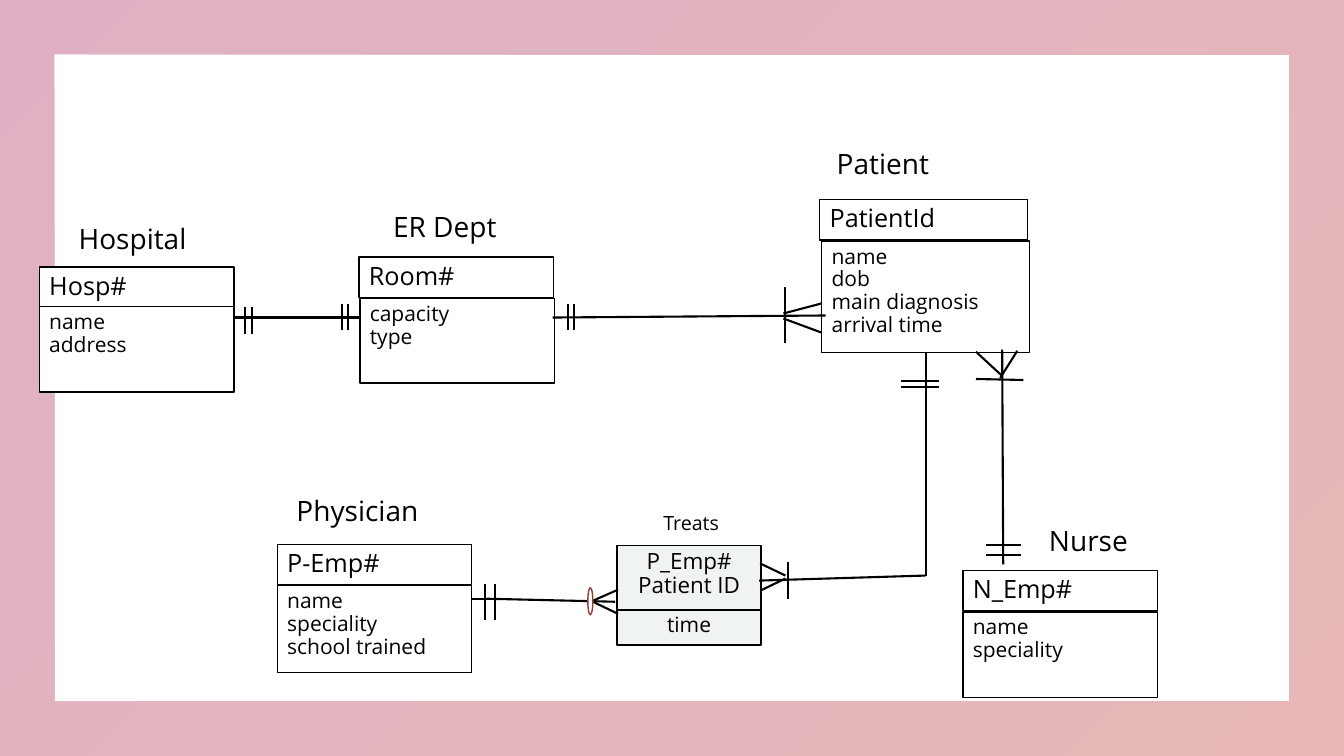
from lxml.etree import SubElement
from pptx import Presentation
from pptx.dml.color import RGBColor
from pptx.enum.shapes import MSO_CONNECTOR, MSO_SHAPE
from pptx.enum.text import MSO_ANCHOR, PP_ALIGN
from pptx.oxml.ns import qn
from pptx.util import Inches, Pt


def color(value):
    return RGBColor.from_string(value)


def write(shape, lines, size, align, anchor):
    frame = shape.text_frame
    settings = {"word_wrap": True, "vertical_anchor": anchor}
    for name, value in settings.items():
        setattr(frame, name, value)
    for index, line in enumerate(lines):
        para = frame.add_paragraph() if index else frame.paragraphs[0]
        para.alignment = align
        para.line_spacing = 0.9
        span = para.add_run()
        span.text = line
        font_format = {"name": "Open Sans", "size": Pt(size)}
        for name, value in font_format.items():
            setattr(span.font, name, value)
        span.font.color.rgb = color("000000")


LEFT, CENTER = PP_ALIGN.LEFT, PP_ALIGN.CENTER
TOP, MIDDLE = MSO_ANCHOR.TOP, MSO_ANCHOR.MIDDLE

deck = Presentation()
deck.slide_width = Inches(13.33)
deck.slide_height = Inches(7.5)
page = deck.slides.add_slide(deck.slide_layouts[6])

border = page.shapes.add_shape(MSO_SHAPE.FRAME, 0, 0, deck.slide_width, deck.slide_height)
border.adjustments[0] = 0.072
border.shadow.inherit = False
border.line.fill.background()
border.fill.gradient()
border.fill.gradient_angle = 315
for stop, position, value in zip(border.fill.gradient_stops, (0, 1), ("B13B6A", "C34F4D")):
    stop.position = position
    stop.color.rgb = color(value)
for tint in border.fill._xPr.iter(qn("a:srgbClr")):
    SubElement(tint, qn("a:alpha"), val="40000")

titles = [
    ("Hospital", 0.34, 2.19, 20, CENTER),
    ("ER Dept", 3.8, 2.07, 20, LEFT),
    ("Patient", 8.2, 1.44, 20, LEFT),
    ("Physician", 2.57, 4.88, 20, CENTER),
    ("Nurse", 9.82, 5.18, 20, CENTER),
    ("Treats", 5.88, 5.05, 14, CENTER),
]
for title, left, top, size, align in titles:
    height = 0.44 if size == 20 else 0.34
    box = page.shapes.add_textbox(Inches(left), Inches(top), Inches(1.95), Inches(height))
    write(box, [title], size, align, TOP)

entities = [
    (0.39, 2.65, 1.93, 0.4, ["Hosp#"], 18),
    (0.39, 3.04, 1.93, 0.85, ["name", "address"], 15),
    (3.56, 2.55, 1.93, 0.4, ["Room#"], 18),
    (3.57, 2.96, 1.93, 0.84, ["capacity", "type"], 15),
    (2.75, 5.4, 1.93, 0.4, ["P-Emp#"], 18),
    (2.75, 5.81, 1.93, 0.86, ["name", "speciality", "school trained"], 15),
    (9.55, 5.66, 1.93, 0.4, ["N_Emp#"], 18),
    (9.55, 6.07, 1.93, 0.85, ["name", "speciality"], 15),
    (8.13, 1.98, 2.06, 0.4, ["PatientId"], 18),
    (8.15, 2.39, 2.06, 1.11, ["name", "dob", "main diagnosis", "arrival time"], 15),
    (6.12, 5.41, 1.43, 0.64, ["P_Emp#", "Patient ID"], 16),
    (6.12, 6.05, 1.43, 0.35, ["time"], 15),
]
for left, top, width, height, lines, size in entities:
    associative = width == 1.43
    box = page.shapes.add_shape(
        MSO_SHAPE.RECTANGLE, Inches(left), Inches(top), Inches(width), Inches(height)
    )
    box.shadow.inherit = False
    box.fill.solid()
    box.fill.fore_color.rgb = color("F0F3F3" if associative else "FFFFFF")
    box.line.color.rgb = color("000000")
    box.line.width = Pt(1)
    write(box, lines, size, CENTER if associative else LEFT, MIDDLE if size == 18 else TOP)

relations = [
    (2.32, 3.15, 3.56, 3.15),
    (5.48, 3.15, 8.19, 3.13),
    (4.67, 5.94, 4.96, 5.94),
    (4.83, 5.94, 6.1, 5.97),
    (9.18, 5.71, 9.18, 3.5),
    (9.18, 5.71, 7.53, 5.76),
    (9.95, 5.6, 9.94, 3.47),
]
crow_feet = [
    (8.15, 3.3, 7.77, 3.16),
    (8.15, 3.01, 7.77, 3.11),
    (7.79, 5.74, 7.54, 5.86),
    (7.79, 5.71, 7.54, 5.59),
    (6.13, 5.85, 5.88, 5.96),
    (6.13, 6.09, 5.88, 5.97),
    (9.94, 3.73, 9.68, 3.49),
    (10.09, 3.48, 9.92, 3.75),
    (9.68, 3.76, 10.15, 3.77),
]
upright_ticks = [
    ((2.43, 2.5), 3.05, 3.31),
    ((3.39, 3.45, 5.63, 5.69), 3.02, 3.27),
    ((7.79,), 2.85, 3.4),
    ((4.81, 4.91), 5.79, 6.15),
    ((7.82,), 5.58, 5.94),
]
level_ticks = [((3.78, 3.84), 8.94, 9.31), ((5.41, 5.51), 9.78, 10.13)]
ticks = [(x, start, x, end) for places, start, end in upright_ticks for x in places]
ticks += [(start, y, end, y) for places, start, end in level_ticks for y in places]

for points in relations + crow_feet + ticks:
    line = page.shapes.add_connector(MSO_CONNECTOR.STRAIGHT, *map(Inches, points))
    line.line.color.rgb = color("000000")
    line.line.width = Pt(1.5)
    SubElement(line._element.spPr, qn("a:effectLst"))

optional_mark = page.shapes.add_shape(
    MSO_SHAPE.OVAL, Inches(5.83), Inches(5.83), Inches(0.05), Inches(0.27)
)
optional_mark.shadow.inherit = False
optional_mark.fill.solid()
optional_mark.fill.fore_color.rgb = color("FFFFFF")
optional_mark.line.color.rgb = color("903A39")
optional_mark.line.width = Pt(1)

deck.save("out.pptx")
